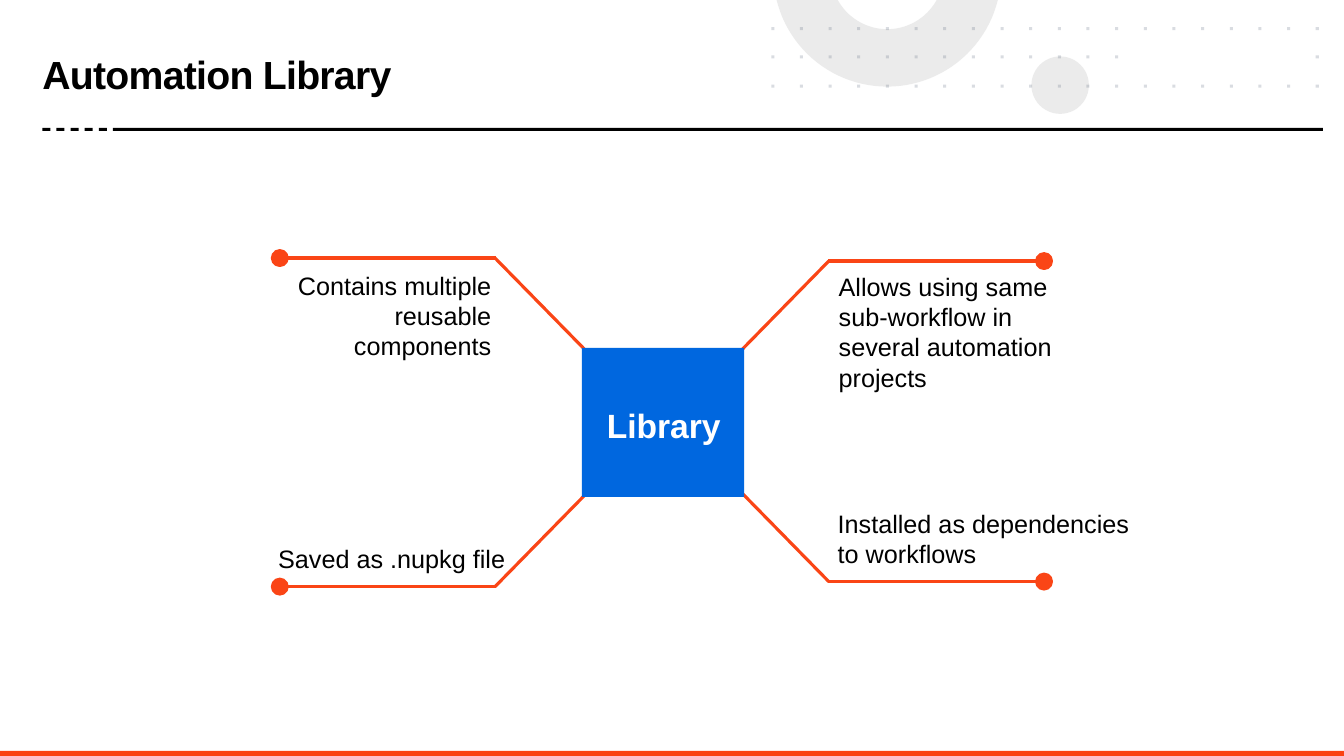
from dataclasses import dataclass
from math import asin, cos, pi, sin

from lxml.etree import SubElement
from pptx import Presentation
from pptx.dml.color import RGBColor
from pptx.enum.shapes import MSO_CONNECTOR as Line, MSO_SHAPE as Shape
from pptx.enum.text import MSO_ANCHOR as Anchor, MSO_AUTO_SIZE as Fit, PP_ALIGN as Align
from pptx.oxml.ns import qn
from pptx.util import Inches, Pt


@dataclass(frozen=True)
class Theme:
    font: str = "Arial"
    ink: str = "000000"
    white: str = "FFFFFF"
    blue: str = "0067DF"
    orange: str = "FA4516"
    footer: str = "FA4211"
    grey: str = "D9D9D9"
    slate: str = "44546A"
    title_size: int = 28
    hub_size: int = 24
    body_size: int = 18


# Content
TITLE = "Automation Library"
HUB = ("Library", (5.92, 3.94, 1.34, 0.5))
NOTES = [
    ("Allows using same sub-workflow in several automation projects",
     (8.22, 2.64, 2.53, 1.31), Align.LEFT),
    ("Contains multiple reusable components", (2.42, 2.63, 2.55, 1.01), Align.RIGHT),
    ("Saved as .nupkg file", (2.63, 5.34, 2.51, 0.4), Align.CENTER),
    ("Installed as dependencies to workflows", (8.21, 4.99, 3.09, 0.71), Align.LEFT),
]
# Callout start point, then its direction across and down
CALLOUTS = [
    (7.23, 3.6, 1, -1),
    (7.23, 4.76, 1, 1),
    (5.9, 4.81, -1, 1),
    (5.9, 3.57, -1, -1),
]
REACH_X, REACH_Y, ARM, KNOB = 0.99, 1.01, 2.06, 0.15
DOT_ROWS = {0.27: range(20), 0.55: [*range(13), 19], 0.84: range(20)}
DOT_LEFT, DOT_STEP, DOT = 7.65, (13.05 - 7.65) / 19, 0.03

theme = Theme()
deck = Presentation()
deck.slide_width, deck.slide_height = Inches(13.33), Inches(7.5)
page = deck.slides.add_slide(deck.slide_layouts[5])
shapes = page.shapes


def paint(shape, color, opacity=100):
    shape.shadow.inherit = False
    shape.fill.solid()
    shape.fill.fore_color.rgb = RGBColor.from_string(color)
    shape.line.fill.background()
    if opacity < 100:
        tone = shape.fill._xPr.find(qn("a:solidFill"))[0]
        SubElement(tone, qn("a:alpha")).set("val", str(opacity * 1000))


def add_block(kind, area, color, opacity=100):
    block = shapes.add_shape(kind, *map(Inches, area))
    paint(block, color, opacity)
    return block


def add_outline(contours, color, opacity):
    builder = None
    for contour in contours:
        first, *rest = [(Inches(x), Inches(y)) for x, y in contour]
        if builder is None:
            builder = shapes.build_freeform(*first, scale=1.0)
        else:
            builder.move_to(*first)
        builder.add_line_segments(rest, close=True)
    paint(builder.convert_to_shape(), color, opacity)


def add_line(start, end):
    line = shapes.add_connector(Line.STRAIGHT, *map(Inches, start + end))
    line.line.color.rgb = RGBColor.from_string(theme.orange)
    line.line.width = Pt(2.25)
    SubElement(line._element.spPr, qn("a:effectLst"))


def write(para, text, size, color, bold=False):
    span = para.add_run()
    span.text = text
    span.font.name, span.font.size, span.font.bold = theme.font, Pt(size), bold
    span.font.color.rgb = RGBColor.from_string(color)
    return span


def add_text(text, area, align, size, color, bold=False, wrap=True):
    frame = shapes.add_textbox(*map(Inches, area)).text_frame
    frame.word_wrap = wrap
    frame.auto_size = Fit.SHAPE_TO_FIT_TEXT
    para = frame.paragraphs[0]
    para.alignment = align
    write(para, text, size, color, bold)
    return para


def arc(center_x, center_y, radius, steps=48):
    """Points of the part of a circle that lies below the top edge."""
    start = asin(-center_y / radius)
    angles = [start + (pi - 2 * start) * i / steps for i in range(steps + 1)]
    return [(center_x + radius * cos(a), center_y + radius * sin(a)) for a in angles]


# Decoration: disc, cut-off ring and dot grid
add_block(Shape.OVAL, (10.23, 0.56, 0.57, 0.57), theme.grey, 50)
ring = arc(8.8, -0.27, 1.13) + arc(8.8, -0.27, 0.56)[::-1]
add_outline([ring], theme.grey, 50)
dots = []
for top, columns in DOT_ROWS.items():
    for column in columns:
        left = DOT_LEFT + column * DOT_STEP
        dots.append([(left, top), (left + DOT, top),
                     (left + DOT, top + DOT), (left, top + DOT)])
add_outline(dots, theme.slate, 20)

# Title
title = shapes.title
title.left, title.top, title.width, title.height = map(Inches, (0.42, 0.39, 7.23, 0.75))
frame = title.text_frame
frame.margin_left = frame.margin_right = frame.margin_top = frame.margin_bottom = 0
frame.vertical_anchor = Anchor.MIDDLE
frame.word_wrap = True
frame.auto_size = Fit.NONE
para = frame.paragraphs[0]
para.alignment, para.line_spacing = Align.LEFT, 0.85
span = write(para, TITLE, theme.title_size, theme.ink, True)
span._r.get_or_add_rPr().set("spc", "-50")

# Title rule with its dashes, and the footer bar
add_block(Shape.RECTANGLE, (1.12, 1.27, 12, 0.03), theme.ink)
for i in range(5):
    add_block(Shape.RECTANGLE, (0.42 + 0.14 * i, 1.27, 0.08, 0.03), theme.ink)
add_block(Shape.RECTANGLE, (0, 7.45, 13.33, 0.05), theme.footer)

# Callout lines with end knobs
for x, y, across, down in CALLOUTS:
    elbow_x, level = x + across * REACH_X, y + down * REACH_Y
    tip = elbow_x + across * ARM
    add_line((x, y), (elbow_x, level))
    add_line((elbow_x - across * 0.01, level), (tip, level))
    knob_left = tip if across > 0 else tip - KNOB
    knob = add_block(Shape.OVAL, (knob_left, level - KNOB / 2, KNOB, KNOB), theme.orange)
    knob.line.color.rgb = RGBColor.from_string(theme.orange)
    knob.line.width = Pt(2)

# Hub and notes
add_block(Shape.RECTANGLE, (5.77, 3.45, 1.61, 1.48), theme.blue)
for text, area, align in NOTES:
    add_text(text, area, align, theme.body_size, theme.ink)
hub = add_text(*HUB, Align.LEFT, theme.hub_size, theme.white, True, False)
hub.line_spacing, hub.space_after = 1.06, Pt(8)

deck.save("out.pptx")
